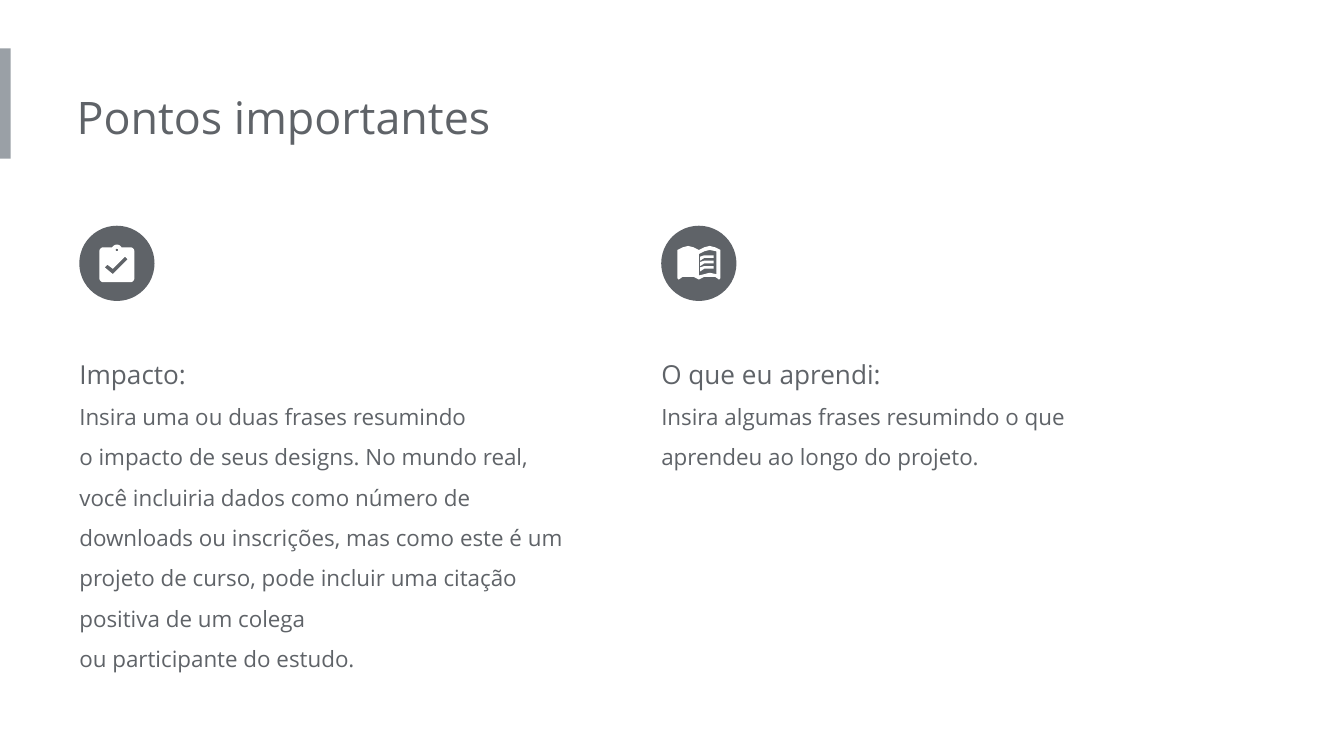
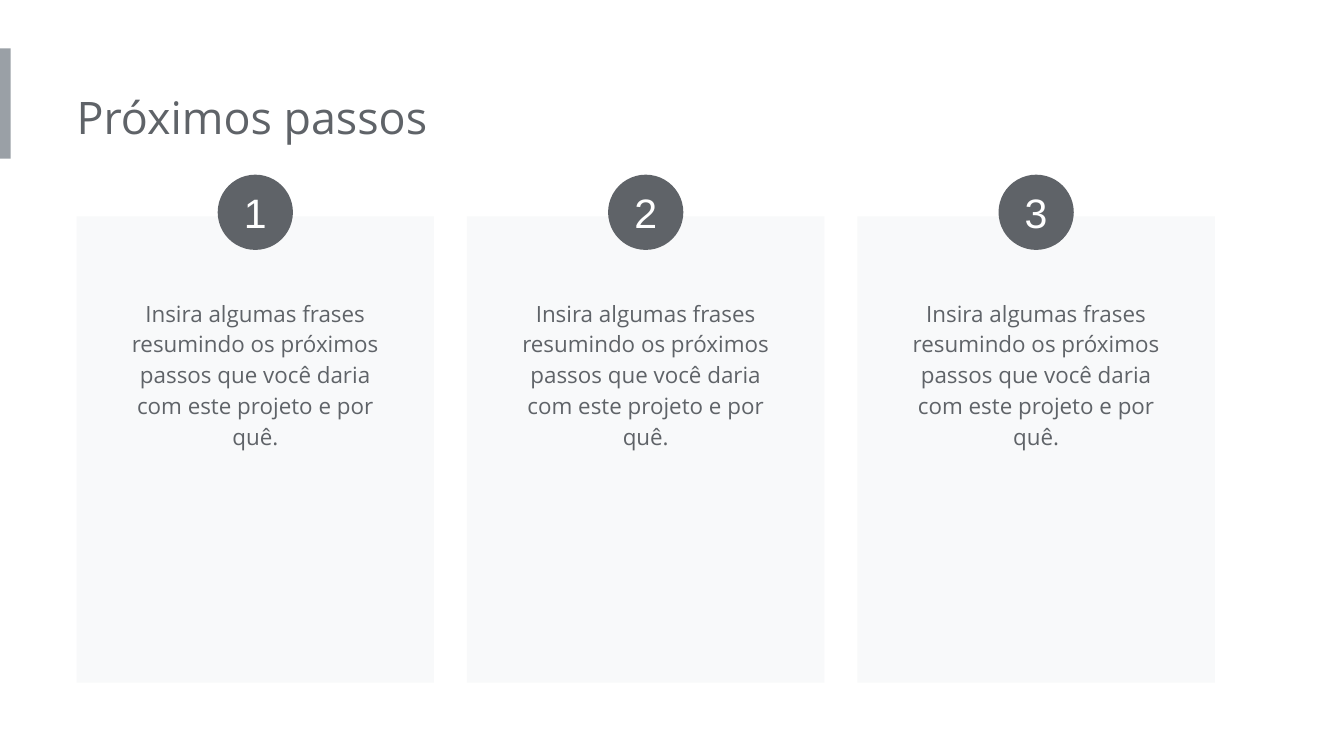
from math import cos, radians, sin

from lxml.etree import SubElement
from pptx import Presentation
from pptx.dml.color import RGBColor
from pptx.enum.shapes import MSO_SHAPE as Shape
from pptx.enum.text import MSO_ANCHOR as Anchor, MSO_AUTO_SIZE as AutoSize, PP_ALIGN as Align
from pptx.oxml.ns import qn
from pptx.util import Inches, Pt

# Content
KEY_POINTS_TITLE = "Pontos importantes"
KEY_POINTS = [
    ("Impacto:",
     "Insira uma ou duas frases resumindo \no impacto de seus designs. No mundo real, "
     "você incluiria dados como número de downloads ou inscrições, mas como este é um "
     "projeto de curso, pode incluir uma citação positiva de um colega \n"
     "ou participante do estudo.", 2.65),
    ("O que eu aprendi:",
     "Insira algumas frases resumindo o que aprendeu ao longo do projeto.", 1.15),
]
NEXT_STEPS_TITLE = "Próximos passos"
NEXT_STEPS = ["Insira algumas frases resumindo os próximos passos que você daria "
              "com este projeto e por quê."] * 3

# Shared style
SLIDE_WIDTH = 10
SLIDE_HEIGHT = SLIDE_WIDTH * 9 / 16
DARK, BAND, CARD, WHITE = "5F6368", "9AA0A6", "F8F9FA", "FFFFFF"
FONT, NUMBER_FONT = "Open Sans", "Arial"
TITLE_LAYOUT, TWO_CONTENT_LAYOUT = 5, 3
BADGE = 0.56

# Grids
COLUMN_LEFTS = (0.59, 4.92)
COLUMN_TOP, COLUMN_WIDTH, ICON_TOP = 2.45, 3.77, 1.68
CARDS_LEFT, CARDS_RIGHT, CARD_TOP = 0.57, 9.04, 1.61
CARD_WIDTH, CARD_HEIGHT = 2.66, 3.47
CARD_TEXT_WIDTH, CARD_TEXT_TOP, CARD_TEXT_HEIGHT = 2.24, 2.1, 1.35
NUMBER_TOP = 1.3


def color(value):
    return RGBColor.from_string(value)


def paint(shape, fill):
    shape.shadow.inherit = False
    shape.fill.solid()
    shape.fill.fore_color.rgb = color(fill)
    shape.line.fill.background()


def add_block(slide, kind, left, top, width, height, fill):
    shape = slide.shapes.add_shape(kind, *map(Inches, (left, top, width, height)))
    paint(shape, fill)
    return shape


def add_badge(slide, left, top):
    return add_block(slide, Shape.OVAL, left, top, BADGE, BADGE, DARK)


def place(shape, left, top, width, height):
    shape.left, shape.top, shape.width, shape.height = map(
        Inches, (left, top, width, height))


def set_text(shape, lines, inset_left=0, spacing=1.0, align=Align.LEFT,
             anchor=Anchor.TOP, inset=0.1):
    """Write (text, size, font, colour) lines as plain paragraphs."""
    frame = shape.text_frame
    frame.word_wrap = True
    frame.auto_size = AutoSize.NONE
    frame.vertical_anchor = anchor
    frame.margin_left = Inches(inset_left)
    frame.margin_top = frame.margin_right = frame.margin_bottom = Inches(inset)
    for index, (text, size, font, font_color) in enumerate(lines):
        paragraph = frame.add_paragraph() if index else frame.paragraphs[0]
        paragraph.text = text
        paragraph.alignment = align
        paragraph.line_spacing = spacing
        paragraph.space_before = Pt(0)
        paragraph.font.size = Pt(size)
        paragraph.font.name = font
        paragraph.font.color.rgb = color(font_color)
        properties = paragraph._p.get_or_add_pPr()
        properties.set("marL", "0")
        properties.set("indent", "0")
        # The bullet setting belongs before the default run properties
        bullet = SubElement(properties, qn("a:buNone"))
        properties.find(qn("a:defRPr")).addprevious(bullet)


def add_titled_slide(presentation, layout, title):
    slide = presentation.slides.add_slide(presentation.slide_layouts[layout])
    add_block(slide, Shape.RECTANGLE, 0, 0.36, 0.08, 0.82, BAND)
    place(slide.shapes.title, 0.57, 0.57, 5.39, 0.6)
    set_text(slide.shapes.title, [(title, 24, FONT, DARK)])
    return slide


# Icons: outlines in inches from the centre of their badge
def arc(x, y, radius, start, end, steps=8):
    angles = [radians(start + (end - start) * i / steps) for i in range(steps + 1)]
    return [(x + radius * cos(a), y + radius * sin(a)) for a in angles]


def clipboard_icon():
    board = (arc(0.1, -0.09, 0.03, -90, 0) + arc(0.1, 0.11, 0.03, 0, 90)
             + arc(-0.1, 0.11, 0.03, 90, 180) + arc(-0.1, -0.09, 0.03, 180, 270)
             + arc(0, -0.1, 0.04, 210, 330))
    hole = arc(0, -0.1, 0.01, 0, 360)
    check = [(-0.03, 0.08), (-0.09, 0.03), (-0.07, 0.01), (-0.03, 0.04),
             (0.06, -0.05), (0.08, -0.03)]
    return [[board, hole, check]]


def book_icon():
    top = [(-0.16, -0.1), (-0.12, -0.12), (-0.08, -0.13), (-0.04, -0.12), (0, -0.1)]
    bottom = [(0, 0.12), (-0.04, 0.1), (-0.08, 0.1), (-0.12, 0.1), (-0.15, 0.12), (-0.16, 0.11)]

    def mirror(points):
        return [(-x, y) for x, y in reversed(points)]

    cover = top + mirror(top) + mirror(bottom) + bottom
    page = [(0, -0.07), (0.04, -0.09), (0.08, -0.1), (0.13, -0.09),
            (0.13, 0.08), (0.08, 0.07), (0.04, 0.08), (0, 0.09)]
    text_line = [(0.01, -0.05), (0.04, -0.06), (0.07, -0.06), (0.11, -0.06),
                 (0.11, -0.04), (0.07, -0.04), (0.04, -0.04), (0.01, -0.02)]
    rows = [[[(x, y + 0.04 * row) for x, y in text_line]] for row in range(3)]
    return [[cover, page]] + rows


def add_icon(slide, outlines, center_x, center_y):
    for contours in outlines:
        placed = [[(Inches(center_x + x), Inches(center_y + y)) for x, y in contour]
                  for contour in contours]
        builder = slide.shapes.build_freeform(*placed[0][0])
        builder.add_line_segments(placed[0][1:])
        for contour in placed[1:]:
            builder.move_to(*contour[0])
            builder.add_line_segments(contour[1:])
        paint(builder.convert_to_shape(), WHITE)


def build_key_points(presentation):
    slide = add_titled_slide(presentation, TWO_CONTENT_LAYOUT, KEY_POINTS_TITLE)
    bodies = list(slide.placeholders)[1:]
    icons = (clipboard_icon(), book_icon())
    for body, left, icon, (heading, text, height) in zip(
            bodies, COLUMN_LEFTS, icons, KEY_POINTS):
        place(body, left, COLUMN_TOP, COLUMN_WIDTH, height)
        set_text(body, [(heading, 14, FONT, DARK), (text, 12, FONT, DARK)], spacing=1.5)
        add_badge(slide, left, ICON_TOP)
        add_icon(slide, icon, left + BADGE / 2, ICON_TOP + BADGE / 2)


def build_next_steps(presentation):
    slide = add_titled_slide(presentation, TITLE_LAYOUT, NEXT_STEPS_TITLE)
    pitch = (CARDS_RIGHT - CARDS_LEFT - CARD_WIDTH) / (len(NEXT_STEPS) - 1)
    for index, text in enumerate(NEXT_STEPS):
        left = CARDS_LEFT + index * pitch
        center = left + CARD_WIDTH / 2
        add_block(slide, Shape.RECTANGLE, left, CARD_TOP, CARD_WIDTH, CARD_HEIGHT, CARD)
        box = slide.shapes.add_textbox(*map(Inches, (
            center - CARD_TEXT_WIDTH / 2, CARD_TEXT_TOP, CARD_TEXT_WIDTH, CARD_TEXT_HEIGHT)))
        set_text(box, [(text, 12, FONT, DARK)], inset_left=0.1, spacing=1.15,
                 align=Align.CENTER)
        badge = add_badge(slide, center - BADGE / 2, NUMBER_TOP)
        set_text(badge, [(str(index + 1), 22, NUMBER_FONT, WHITE)], align=Align.CENTER,
                 anchor=Anchor.MIDDLE, inset=0)


def main():
    presentation = Presentation()
    presentation.slide_width = Inches(SLIDE_WIDTH)
    presentation.slide_height = Inches(SLIDE_HEIGHT)
    build_key_points(presentation)
    build_next_steps(presentation)
    presentation.save("out.pptx")


if __name__ == "__main__":
    main()
